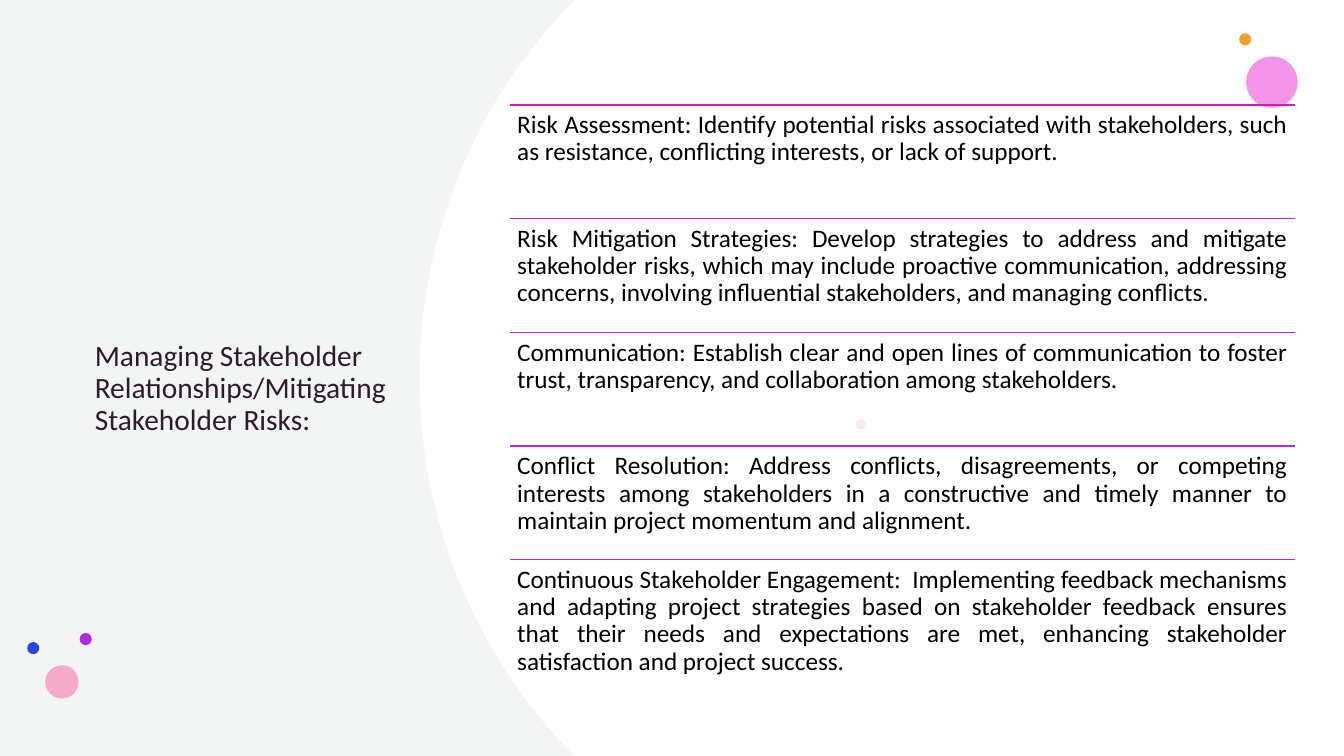
import math
from lxml import etree
from pptx import Presentation
from pptx.dml.color import RGBColor
from pptx.enum.shapes import MSO_CONNECTOR, MSO_SHAPE
from pptx.enum.text import MSO_ANCHOR, PP_ALIGN
from pptx.oxml.ns import qn
from pptx.util import Inches, Pt

OVAL = MSO_SHAPE.OVAL
STRAIGHT = MSO_CONNECTOR.STRAIGHT
TOP, MIDDLE = MSO_ANCHOR.TOP, MSO_ANCHOR.MIDDLE
LEFT, JUSTIFY = PP_ALIGN.LEFT, PP_ALIGN.JUSTIFY

THEME = {
    "font": "Calibri",
    "title_size": 21,
    "body_size": 18,
    "title": "301B2D",
    "body": "000000",
    "panel": "F2F5F4",
    "white": "FFFFFF",
    "pink": "EF6BE0",
    "orange": "F39E29",
    "blush": "E3BEBE",
    "purple": "AD29E7",
    "rose": "F5A9CD",
    "blue": "2944E7",
    "rules": ["D517C0", "DD18DC", "D119E5", "BF21E6", "AD29E7"],
}


def write(tf, text, size, color, align, anchor):
    tf.word_wrap = True
    tf.vertical_anchor = anchor
    p = tf.paragraphs[0]
    p.alignment = align
    p.line_spacing = 0.9
    p.space_before = Pt(0)
    r = p.add_run()
    r.text = text
    r.font.name = THEME["font"]
    r.font.size = Pt(size)
    r.font.color.rgb = RGBColor.from_string(color)


prs = Presentation()
prs.slide_width = Inches(13.33)
prs.slide_height = Inches(7.5)
s = prs.slides.add_slide(prs.slide_layouts[5])
s.background.fill.solid()
s.background.fill.fore_color.rgb = RGBColor.from_string(THEME["panel"])

title = s.shapes.title
title.left, title.top = Inches(0.84), Inches(1.04)
title.width, title.height = Inches(3.13), Inches(5.64)
write(title.text_frame, "Managing Stakeholder Relationships/Mitigating Stakeholder Risks:",
      THEME["title_size"], THEME["title"], LEFT, MIDDLE)

radius, arc_left, middle = 5.34, 4.16, 3.75
half_angle = math.asin(middle / radius)
steps = 80
arc = []
for i in range(steps + 1):
    angle = half_angle * (2 * i / steps - 1)
    arc.append((Inches(arc_left + radius * (1 - math.cos(angle))),
                Inches(middle + radius * math.sin(angle))))
builder = s.shapes.build_freeform(prs.slide_width, 0)
builder.add_line_segments(arc + [(prs.slide_width, prs.slide_height)], close=True)
content_area = builder.convert_to_shape()
content_area.shadow.inherit = False
content_area.fill.solid()
content_area.fill.fore_color.rgb = RGBColor.from_string(THEME["white"])
content_area.line.fill.background()

dots = [
    (12.36, 0.56, 0.51, "pink", 72),
    (12.29, 0.33, 0.12, "orange", 100),
    (8.49, 4.16, 0.1, "blush", 28),
    (0.79, 6.28, 0.12, "purple", 100),
    (0.45, 6.6, 0.33, "rose", 100),
    (0.27, 6.37, 0.12, "blue", 100),
]
for x, y, size, color, opacity in dots:
    dot = s.shapes.add_shape(OVAL, Inches(x), Inches(y), Inches(size), Inches(size))
    dot.shadow.inherit = False
    dot.fill.solid()
    dot.fill.fore_color.rgb = RGBColor.from_string(THEME[color])
    dot.line.fill.background()
    if opacity < 100:
        clr = dot.fill._xPr.find(qn("a:solidFill"))[0]
        etree.SubElement(clr, qn("a:alpha"), val=str(opacity * 1000))

items = [
    "Risk Assessment: Identify potential risks associated with stakeholders, such as resistance, "
    "conflicting interests, or lack of support.",
    "Risk Mitigation Strategies: Develop strategies to address and mitigate stakeholder risks, "
    "which may include proactive communication, addressing concerns, involving influential "
    "stakeholders, and managing conflicts.",
    "Communication: Establish clear and open lines of communication to foster trust, "
    "transparency, and collaboration among stakeholders.",
    "Conflict Resolution: Address conflicts, disagreements, or competing interests among "
    "stakeholders in a constructive and timely manner to maintain project momentum and alignment.",
    "Continuous Stakeholder Engagement:  Implementing feedback mechanisms and adapting project "
    "strategies based on stakeholder feedback ensures that their needs and expectations are met, "
    "enhancing stakeholder satisfaction and project success.",
]
left, width = Inches(5.06), Inches(7.78)
list_top, list_height = Inches(1.04), Inches(5.64)
row_height = list_height // len(items)
for i, (text, color) in enumerate(zip(items, THEME["rules"])):
    top = list_top + i * row_height
    rule = s.shapes.add_connector(STRAIGHT, left, top, left + width, top)
    rule.line.color.rgb = RGBColor.from_string(color)
    rule.line.width = Pt(1)
    etree.SubElement(rule._element.spPr, qn("a:effectLst"))
    tf = s.shapes.add_textbox(left, top, width, row_height).text_frame
    tf.margin_left = tf.margin_right = tf.margin_top = tf.margin_bottom = Inches(0.07)
    write(tf, text, THEME["body_size"], THEME["body"], JUSTIFY, TOP)

prs.save("out.pptx")
